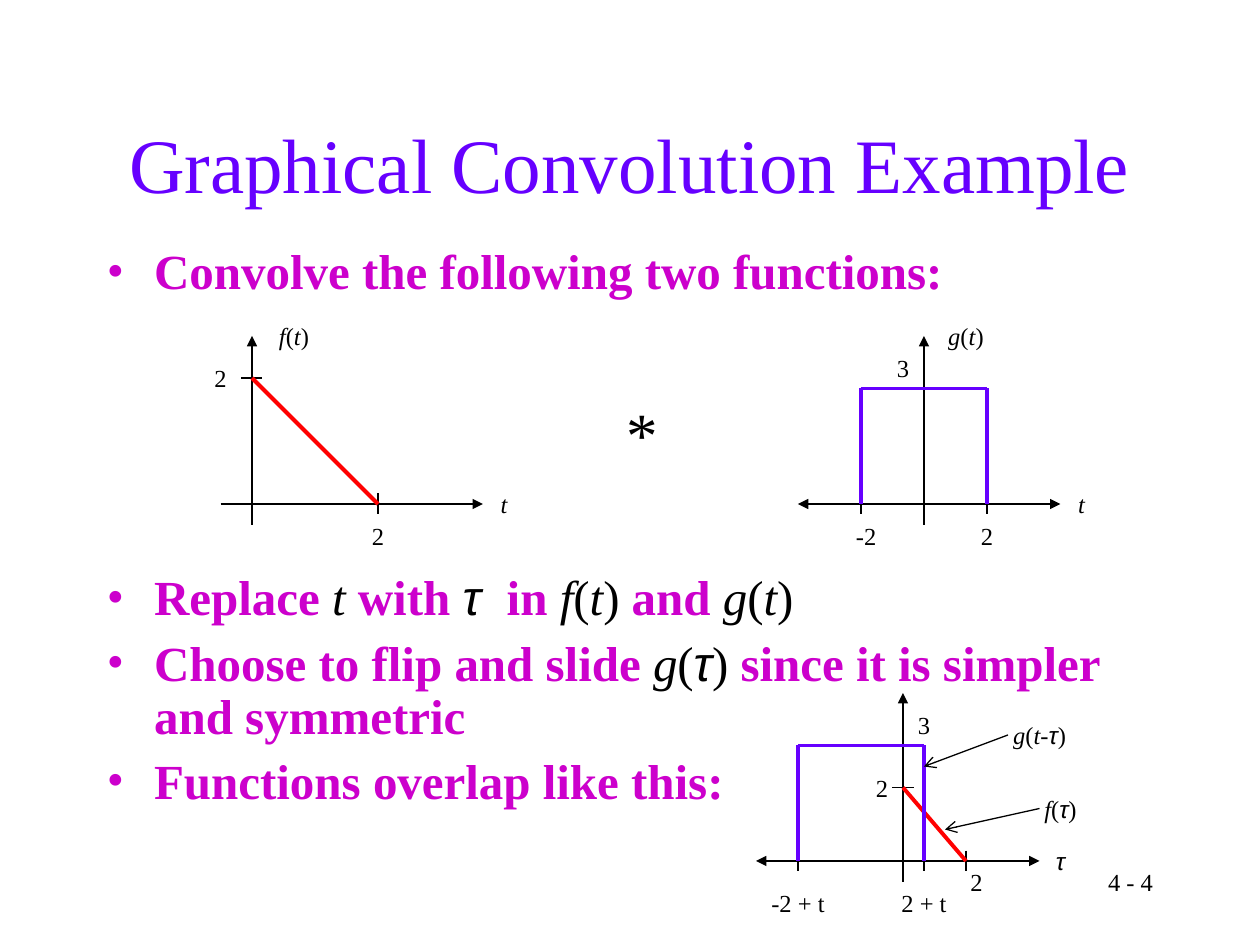
from itertools import pairwise

from lxml.etree import SubElement
from pptx import Presentation
from pptx.dml.color import RGBColor
from pptx.enum.shapes import MSO_CONNECTOR as Connector
from pptx.enum.text import MSO_ANCHOR as Anchor, PP_ALIGN as Align
from pptx.oxml.ns import qn
from pptx.util import Pt

COLORS = {"violet": "6600FF", "magenta": "CC00CC", "red": "FF0101", "black": "000000"}
SERIF, SANS = "Times New Roman", "Arial"

# Run styles: font, colour, bold, italic
STYLES = {
    "title": (SERIF, "violet", False, False),
    "bullet": (SERIF, "magenta", True, False),
    "plain": (SERIF, "black", False, False),
    "variable": (SERIF, "black", False, True),
    "greek": (SANS, "black", False, True),
}

TITLE = "Graphical Convolution Example"
PAGE_NUMBER = "4 - 4"


def function_of(name, *arguments):
    return [(name, "variable"), ("(", "plain"), *arguments, (")", "plain")]


T, TAU = ("t", "variable"), ("τ", "greek")
F_T, G_T = function_of("f", T), function_of("g", T)
F_TAU, G_TAU = function_of("f", TAU), function_of("g", TAU)
G_SHIFTED = function_of("g", ("t-", "variable"), TAU)

# Space before, runs; the second bullet leaves room for the two plots
BULLETS = [
    (7, [("Convolve the following two functions:", "bullet")]),
    (156, [("Replace ", "bullet"), T, (" with ", "bullet"), ("τ ", "greek"),
           (" in ", "bullet"), *F_T, (" and ", "bullet"), *G_T]),
    (7, [("Choose to flip and slide ", "bullet"), *G_TAU,
         (" since it is simpler and symmetric", "bullet")]),
    (7, [("Functions overlap like this:", "bullet")]),
]

# Start, end, triangle at start, triangle at end
AXES = [
    ((432, 492), (594, 492), True, True),
    ((516, 396), (516, 504), True, False),
    ((144, 192), (144, 300), True, False),
    ((126, 288), (276, 288), False, True),
    ((456, 288), (606, 288), True, True),
    ((528, 192), (528, 300), True, False),
]
TICKS_ON_X = [(552, 492), (456, 492), (528, 492), (216, 288), (492, 288), (564, 288)]
TICKS_ON_Y = [(516, 450), (144, 216)]
TICK_REACH = 6

RAMPS = [((516, 450), (552, 492)), ((144, 216), (216, 288))]
PULSES = [(456, 492), (492, 288)]  # lower left corners
PULSE_WIDTH, PULSE_HEIGHT = 72, 66
POINTERS = [((594, 462), (540, 474)), ((576, 420), (528, 438))]

# Left, top, width, runs
LABELS = [
    (516, 402, 24, "3"), (594, 480, 24, [TAU]), (546, 492, 24, "2"),
    (588, 450, 36, F_TAU), (492, 438, 24, "2"), (432, 504, 48, "-2 + t"),
    (504, 504, 48, "2 + t"), (570, 408, 48, G_SHIFTED),
    (204, 294, 24, "2"), (114, 204, 24, "2"), (276, 276, 24, [T]),
    (150, 180, 36, F_T), (480, 294, 30, "-2"), (552, 294, 24, "2"),
    (504, 198, 24, "3"), (606, 276, 24, [T]), (534, 180, 36, G_T),
]
LABEL_HEIGHT = 24.5


def color(name):
    return RGBColor.from_string(COLORS[name])


def write(paragraph, text, style="plain", size=14, align=Align.CENTER):
    """Fill a paragraph from a string or from (text, style) pairs."""
    paragraph.alignment = align
    for words, run_style in [(text, style)] if isinstance(text, str) else text:
        run = paragraph.add_run()
        run.text = words
        font = run.font
        font.name, ink, font.bold, font.italic = STYLES[run_style]
        font.size = Pt(size)
        font.color.rgb = color(ink)


def add_text_box(slide, left, top, width, height):
    frame = slide.shapes.add_textbox(Pt(left), Pt(top), Pt(width), Pt(height)).text_frame
    frame.word_wrap = True
    return frame


def add_line(slide, start, end, ink="black", weight=0.75, head=None, tail=None):
    line = slide.shapes.add_connector(
        Connector.STRAIGHT, *(Pt(value) for value in (*start, *end)))
    line.line.color.rgb = color(ink)
    line.line.width = Pt(weight)
    outline = line.line._get_or_add_ln()
    for tag, kind in (("a:headEnd", head), ("a:tailEnd", tail)):
        if kind:
            SubElement(outline, qn(tag), type=kind)
    SubElement(line._element.spPr, qn("a:effectLst"))


def set_bullet(paragraph):
    properties = paragraph._p.get_or_add_pPr()
    properties.set("marL", str(Pt(27)))
    properties.set("indent", str(Pt(-27)))
    bullet_color = SubElement(properties, qn("a:buClr"))
    SubElement(bullet_color, qn("a:srgbClr"), val=COLORS["magenta"])
    SubElement(properties, qn("a:buFont"), typeface=SERIF)
    SubElement(properties, qn("a:buChar"), char="•")


def add_title(slide):
    title = slide.shapes.title
    title.left, title.top, title.width, title.height = Pt(18), Pt(48), Pt(684), Pt(90)
    title.text_frame.vertical_anchor = Anchor.MIDDLE
    write(title.text_frame.paragraphs[0], TITLE, style="title", size=44)


def add_bullets(slide):
    frame = add_text_box(slide, 54, 138, 612, 354)
    for index, (space, runs) in enumerate(BULLETS):
        paragraph = frame.add_paragraph() if index else frame.paragraphs[0]
        paragraph.line_spacing = 0.9
        paragraph.space_before = Pt(space)
        set_bullet(paragraph)
        write(paragraph, runs, size=28, align=Align.LEFT)


def add_plots(slide):
    for start, end, at_start, at_end in AXES:
        add_line(slide, start, end, head="triangle" if at_start else None,
                 tail="triangle" if at_end else None)
    for x, y in TICKS_ON_X:
        add_line(slide, (x, y - TICK_REACH), (x, y + TICK_REACH))
    for x, y in TICKS_ON_Y:
        add_line(slide, (x - TICK_REACH, y), (x + TICK_REACH, y))
    for start, end in RAMPS:
        add_line(slide, start, end, ink="red", weight=2.25)
    for left, base in PULSES:
        right, top = left + PULSE_WIDTH, base - PULSE_HEIGHT
        corners = [(left, base), (left, top), (right, top), (right, base)]
        for start, end in pairwise(corners):
            add_line(slide, start, end, ink="violet", weight=2.25)
    for start, end in POINTERS:
        add_line(slide, start, end, tail="arrow")
    for left, top, width, text in LABELS:
        write(add_text_box(slide, left, top, width, LABEL_HEIGHT).paragraphs[0], text)


def main():
    presentation = Presentation()
    presentation.slide_width, presentation.slide_height = Pt(720), Pt(540)
    slide = presentation.slides.add_slide(presentation.slide_layouts[5])
    add_title(slide)
    add_plots(slide)
    write(add_text_box(slide, 351, 222, 30, 50.5).paragraphs[0], "*", size=36)
    add_bullets(slide)
    write(add_text_box(slide, 516, 492, 150, 36).paragraphs[0], PAGE_NUMBER,
          align=Align.RIGHT)
    presentation.save("out.pptx")


if __name__ == "__main__":
    main()
